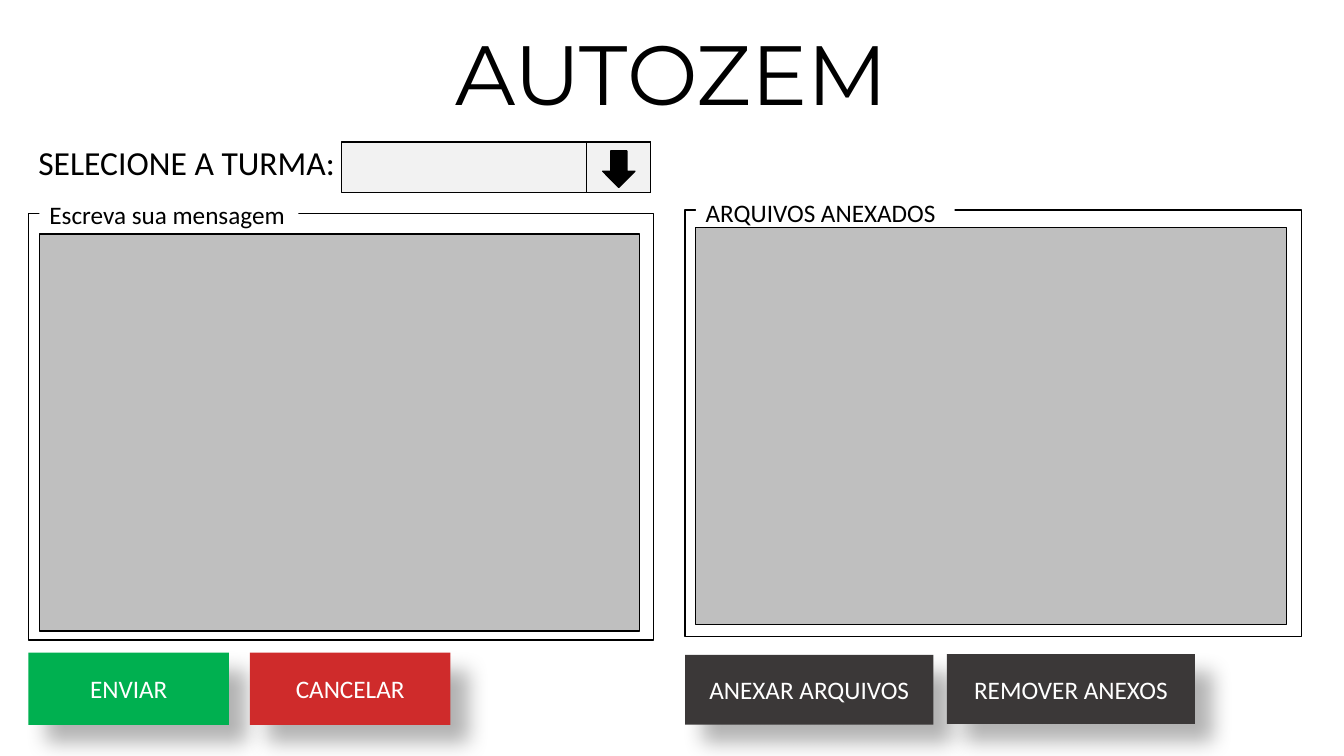
"""Build a mock-up of a window for sending messages to a class."""
from dataclasses import dataclass

from lxml.etree import SubElement
from pptx import Presentation
from pptx.dml.color import RGBColor
from pptx.enum.shapes import MSO_SHAPE as Kind
from pptx.enum.text import MSO_ANCHOR as Anchor, PP_ALIGN as Align
from pptx.oxml.ns import qn
from pptx.shapes.autoshape import Shape
from pptx.slide import Slide
from pptx.util import Pt

BLACK, WHITE, PALE, GREY, DARK = "000000", "FFFFFF", "F2F2F2", "BFBFBF", "3B3838"


@dataclass(frozen=True)
class Box:
    left: float
    top: float
    width: float
    height: float


@dataclass(frozen=True)
class Panel:
    title: str
    frame: Box
    label: Box
    area: Box


@dataclass(frozen=True)
class Button:
    text: str
    fill: str
    box: Box


PANELS = [
    Panel("Escreva sua mensagem", Box(20.3, 152.7, 446.4, 304.4),
          Box(28.2, 138.5, 185, 29), Box(28.2, 167.1, 428.4, 283.6)),
    Panel("ARQUIVOS ANEXADOS", Box(489.4, 150.1, 440.4, 304.4),
          Box(497, 137.7, 185, 29), Box(497, 162.4, 422.2, 283.6)),
]
BUTTONS = [
    Button("ENVIAR", "00B050", Box(20.3, 466.2, 143.3, 51.5)),
    Button("CANCELAR", "CF2B2B", Box(178.5, 466.2, 143.3, 51.5)),
    Button("ANEXAR ARQUIVOS", DARK, Box(489.4, 467.8, 177.3, 49.8)),
    Button("REMOVER ANEXOS", DARK, Box(676.3, 467.3, 177.3, 49.8)),
]


def color(code: str) -> RGBColor:
    return RGBColor.from_string(code)


def place(box: Box) -> tuple[Pt, Pt, Pt, Pt]:
    return Pt(box.left), Pt(box.top), Pt(box.width), Pt(box.height)


def draw(slide: Slide, box: Box, fill: str = "", line: str = "",
         kind: Kind = Kind.RECTANGLE) -> Shape:
    shape = slide.shapes.add_shape(kind, *place(box))
    shape.shadow.inherit = False
    if fill:
        shape.fill.solid()
        shape.fill.fore_color.rgb = color(fill)
    else:
        shape.fill.background()
    if line:
        shape.line.color.rgb = color(line)
        shape.line.width = Pt(1)
    else:
        shape.line.fill.background()
    return shape


def write(shape: Shape, text: str, size: float = 18, ink: str = BLACK,
          face: str = "Calibri", align: Align = Align.LEFT,
          anchor: Anchor = Anchor.TOP, space: float = 1) -> None:
    frame = shape.text_frame
    frame.word_wrap = True
    frame.vertical_anchor = anchor
    par = frame.paragraphs[0]
    par.text = text
    par.alignment = align
    par.line_spacing = space
    par.font.name = face
    par.font.size = Pt(size)
    par.font.color.rgb = color(ink)


def shade(shape: Shape) -> None:
    effects = shape._element.spPr.find(qn("a:effectLst"))
    outer = SubElement(effects, qn("a:outerShdw"), blurRad=str(Pt(15)),
                       dist=str(Pt(18)), dir="2700000", algn="tl",
                       rotWithShape="0")
    tint = SubElement(outer, qn("a:srgbClr"), val=BLACK)
    SubElement(tint, qn("a:alpha"), val="30000")


def add_panel(slide: Slide, panel: Panel) -> None:
    draw(slide, panel.frame, line=BLACK)
    write(draw(slide, panel.label, WHITE), panel.title)
    draw(slide, panel.area, GREY, BLACK)


def add_button(slide: Slide, button: Button) -> None:
    shape = draw(slide, button.box, button.fill)
    shade(shape)
    write(shape, button.text, ink=WHITE, align=Align.CENTER,
          anchor=Anchor.MIDDLE)


def add_picker(slide: Slide) -> None:
    label = slide.shapes.add_textbox(*place(Box(20.3, 101.4, 230.4, 36)))
    write(label, "SELECIONE A TURMA:", 24, space=0.9)
    label.text_frame.paragraphs[0].space_before = Pt(10)
    draw(slide, Box(243.8, 101.4, 220.7, 36), PALE, BLACK)
    draw(slide, Box(418.9, 101.4, 45.6, 36), PALE, BLACK)
    draw(slide, Box(430.5, 107.8, 23, 26), BLACK, BLACK, Kind.DOWN_ARROW)


def main() -> None:
    deck = Presentation()
    deck.slide_width, deck.slide_height = Pt(960), Pt(540)
    slide = deck.slides.add_slide(deck.slide_layouts[6])
    title = slide.shapes.add_textbox(*place(Box(296.6, 14.4, 366.5, 77.8)))
    write(title, "AUTOZEM", 60, face="Montserrat", align=Align.CENTER,
          anchor=Anchor.BOTTOM, space=0.9)
    add_picker(slide)
    for panel in PANELS:
        add_panel(slide, panel)
    for button in BUTTONS:
        add_button(slide, button)
    deck.save("out.pptx")


if __name__ == "__main__":
    main()
